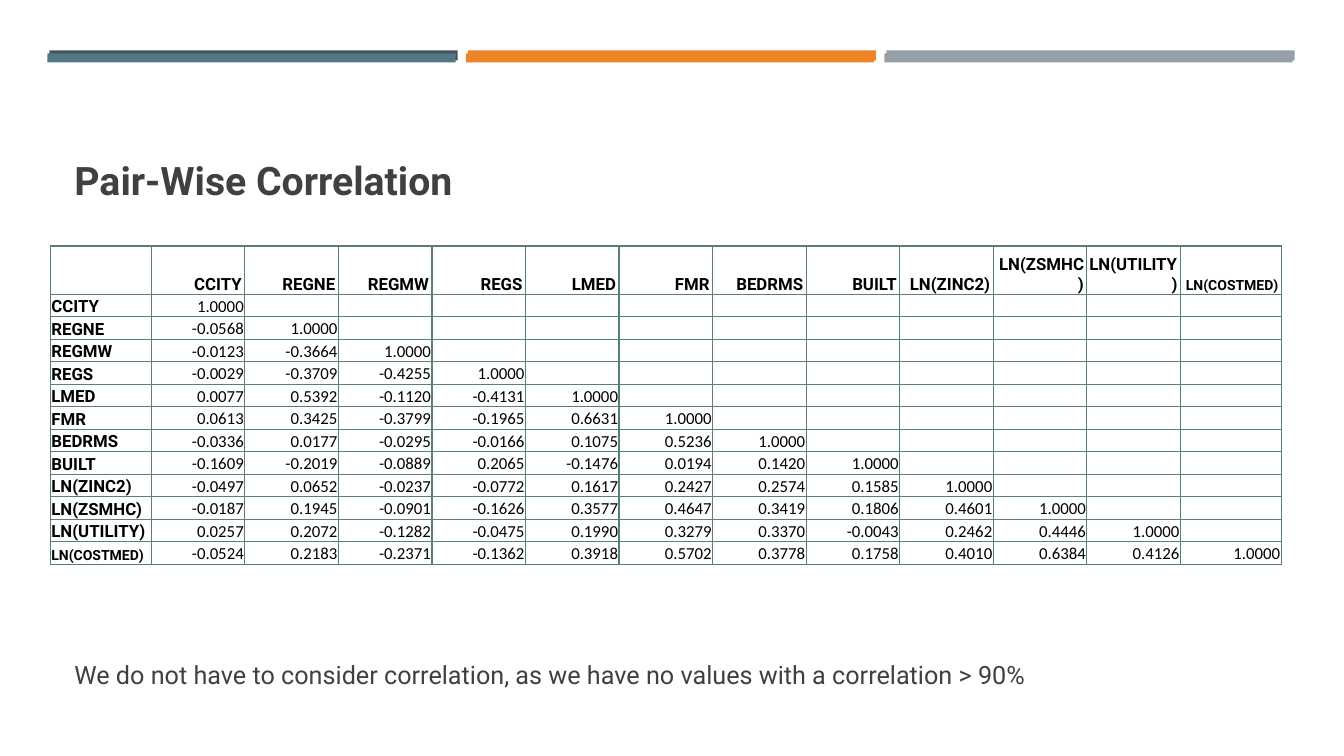
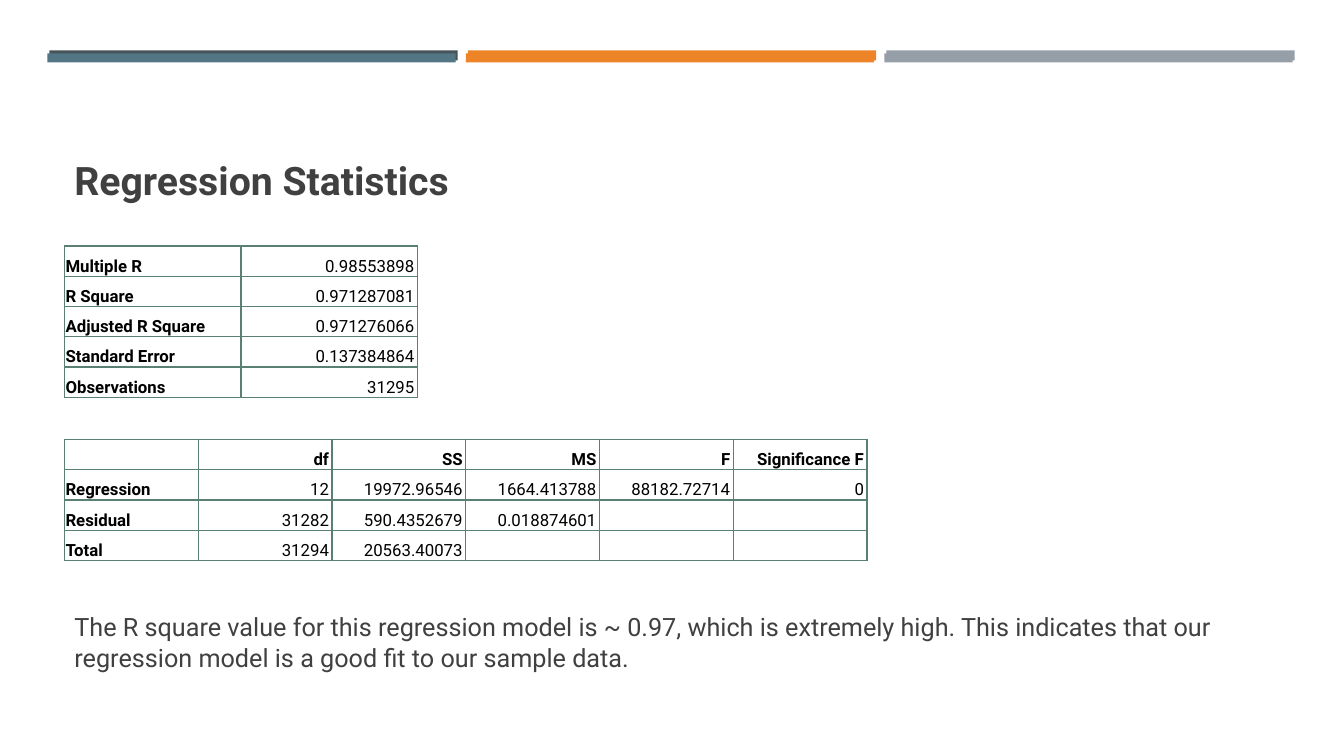
from lxml import etree
from pptx import Presentation
from pptx.dml.color import RGBColor
from pptx.enum.shapes import MSO_SHAPE
from pptx.enum.text import MSO_ANCHOR, PP_ALIGN
from pptx.oxml.ns import qn
from pptx.util import Inches, Pt

RECT = MSO_SHAPE.RECTANGLE
TOP, BOTTOM = MSO_ANCHOR.TOP, MSO_ANCHOR.BOTTOM
LEFT, RIGHT = PP_ALIGN.LEFT, PP_ALIGN.RIGHT

# Content
CORRELATION_TITLE = "Pair-Wise Correlation"
CORRELATION_NOTE = ("We do not have to consider correlation, as we have no values "
                    "with a correlation > 90%")
CORRELATIONS = [
    ("CCITY", "1.0000"),
    ("REGNE", "-0.0568 1.0000"),
    ("REGMW", "-0.0123 -0.3664 1.0000"),
    ("REGS", "-0.0029 -0.3709 -0.4255 1.0000"),
    ("LMED", "0.0077 0.5392 -0.1120 -0.4131 1.0000"),
    ("FMR", "0.0613 0.3425 -0.3799 -0.1965 0.6631 1.0000"),
    ("BEDRMS", "-0.0336 0.0177 -0.0295 -0.0166 0.1075 0.5236 1.0000"),
    ("BUILT", "-0.1609 -0.2019 -0.0889 0.2065 -0.1476 0.0194 0.1420 1.0000"),
    ("LN(ZINC2)", "-0.0497 0.0652 -0.0237 -0.0772 0.1617 0.2427 0.2574 0.1585 1.0000"),
    ("LN(ZSMHC)", "-0.0187 0.1945 -0.0901 -0.1626 0.3577 0.4647 0.3419 0.1806 0.4601 "
                  "1.0000"),
    ("LN(UTILITY)", "0.0257 0.2072 -0.1282 -0.0475 0.1990 0.3279 0.3370 -0.0043 0.2462 "
                    "0.4446 1.0000"),
    ("LN(COSTMED)", "-0.0524 0.2183 -0.2371 -0.1362 0.3918 0.5702 0.3778 0.1758 0.4010 "
                    "0.6384 0.4126 1.0000"),
]
REGRESSION_TITLE = "Regression Statistics"
REGRESSION_NOTE = ("The R square value for this regression model is ~ 0.97, which is "
                   "extremely high. This indicates that our regression model is a good "
                   "fit to our sample data.")
FIT_ROWS = [
    ["Multiple R", "0.98553898"],
    ["R Square", "0.971287081"],
    ["Adjusted R Square", "0.971276066"],
    ["Standard Error", "0.137384864"],
    ["Observations", "31295"],
]
ANOVA_ROWS = [
    ["", "df", "SS", "MS", "F", "Significance F"],
    ["Regression", "12", "19972.96546", "1664.413788", "88182.72714", "0"],
    ["Residual", "31282", "590.4352679", "0.018874601"],
    ["Total", "31294", "20563.40073"],
]

# Shared style
COLORS = {"slate": "465359", "teal": "537685", "orange": "ED8428", "gray": "969FA7",
          "text": "404040", "cell": "000000", "border": "5A8071"}
FONT, NUMBER_FONT = "Roboto", "Calibri"
BANDS = [("slate", "teal"), ("orange", "orange"), ("gray", "gray")]  # back, front
BAND_W, BAND_STEP = 4.05, 4.15
TEXT_LEFT, TEXT_W = 0.64, 12.06
TABLE_TOP = 2.44
SMALL_LABELS = {"LN(COSTMED)"}


def add_run(p, text, size, color, bold=False, font=FONT):
    r = p.add_run()
    r.text = text
    r.font.size, r.font.name, r.font.bold = Pt(size), font, bold
    r.font.color.rgb = RGBColor.from_string(COLORS[color])


def add_band(s, x, y, height, color):
    sp = s.shapes.add_shape(RECT, Inches(x), Inches(y), Inches(BAND_W), Inches(height))
    sp.shadow.inherit = False
    sp.fill.solid()
    sp.fill.fore_color.rgb = RGBColor.from_string(COLORS[color])
    sp.line.fill.background()


def add_text(s, text, y, height, size, bold=False, anchor=TOP):
    tb = s.shapes.add_textbox(Inches(TEXT_LEFT), Inches(y), Inches(TEXT_W), Inches(height))
    tf = tb.text_frame
    tf.word_wrap = True
    tf.vertical_anchor = anchor
    add_run(tf.paragraphs[0], text, size, "text", bold)


def add_slide(prs, title, note, note_top):
    s = prs.slides.add_slide(prs.slide_layouts[6])
    for i, (back, front) in enumerate(BANDS):
        add_band(s, 0.49 + i * BAND_STEP, 0.5, 0.1, back)
        add_band(s, 0.47 + i * BAND_STEP, 0.53, 0.09, front)
    add_text(s, title, 0.77, 1.3, 28, bold=True, anchor=BOTTOM)
    add_text(s, note, note_top, 0.66, 18)
    return s


def set_borders(cell):
    tc_pr = cell._tc.get_or_add_tcPr()
    for i, side in enumerate(("lnL", "lnR", "lnT", "lnB")):
        ln = etree.Element(qn("a:" + side), w=str(Pt(1)))
        fill = etree.SubElement(ln, qn("a:solidFill"))
        etree.SubElement(fill, qn("a:srgbClr"), val=COLORS["border"])
        tc_pr.insert(i, ln)


def fill_cell(cell, text, is_label, is_header, font, right_inset):
    cell.fill.background()
    set_borders(cell)
    cell.vertical_anchor = BOTTOM
    cell.margin_left = cell.margin_top = Inches(0.01)
    cell.margin_right, cell.margin_bottom = Inches(right_inset), 0
    p = cell.text_frame.paragraphs[0]
    p.alignment = LEFT if is_label else RIGHT
    if text:
        bold = is_label or is_header
        size = 10 if text in SMALL_LABELS else 12
        add_run(p, text, size, "cell", bold, FONT if bold else font)
    else:  # keeps empty rows from growing
        etree.SubElement(p._p, qn("a:endParaRPr"), sz="1200")


def add_grid(s, rows, x, y, widths, heights, header=True, font=FONT, number_inset=0.03):
    table = s.shapes.add_table(len(heights), len(widths), Inches(x), Inches(y),
                               Inches(sum(widths)), Inches(sum(heights))).table
    table.first_row = table.horz_banding = False
    for col, width in zip(table.columns, widths):
        col.width = Inches(width)
    for i, (row, height) in enumerate(zip(rows, heights)):
        table.rows[i].height = Inches(height)
        is_header = header and i == 0
        for j in range(len(widths)):
            inset = 0.01 if j == 0 else 0.03 if is_header else number_inset
            fill_cell(table.cell(i, j), row[j] if j < len(row) else "",
                      j == 0, is_header, font, inset)


def main():
    prs = Presentation()
    prs.slide_width, prs.slide_height = Inches(13.33), Inches(7.5)

    # Correlation matrix
    s = add_slide(prs, CORRELATION_TITLE, CORRELATION_NOTE, 6.49)
    names = [name for name, _ in CORRELATIONS]
    rows = [[""] + names] + [[name] + values.split() for name, values in CORRELATIONS]
    n = len(names)
    inner_w = (12.21 - 2) / (n - 1)
    row_h = (3.16 - 0.48) / n
    add_grid(s, rows, 0.5, TABLE_TOP, [1] + [inner_w] * (n - 1) + [1],
             [0.48] + [row_h] * n, font=NUMBER_FONT, number_inset=0.01)

    # Regression fit and variance tables
    s = add_slide(prs, REGRESSION_TITLE, REGRESSION_NOTE, 6.02)
    add_grid(s, FIT_ROWS, TEXT_LEFT, TABLE_TOP, [1.75] * 2, [0.3] * len(FIT_ROWS),
             header=False)
    add_grid(s, ANOVA_ROWS, TEXT_LEFT, 4.36, [7.96 / 6] * 6, [0.3] * len(ANOVA_ROWS))

    prs.save("out.pptx")


if __name__ == "__main__":
    main()
